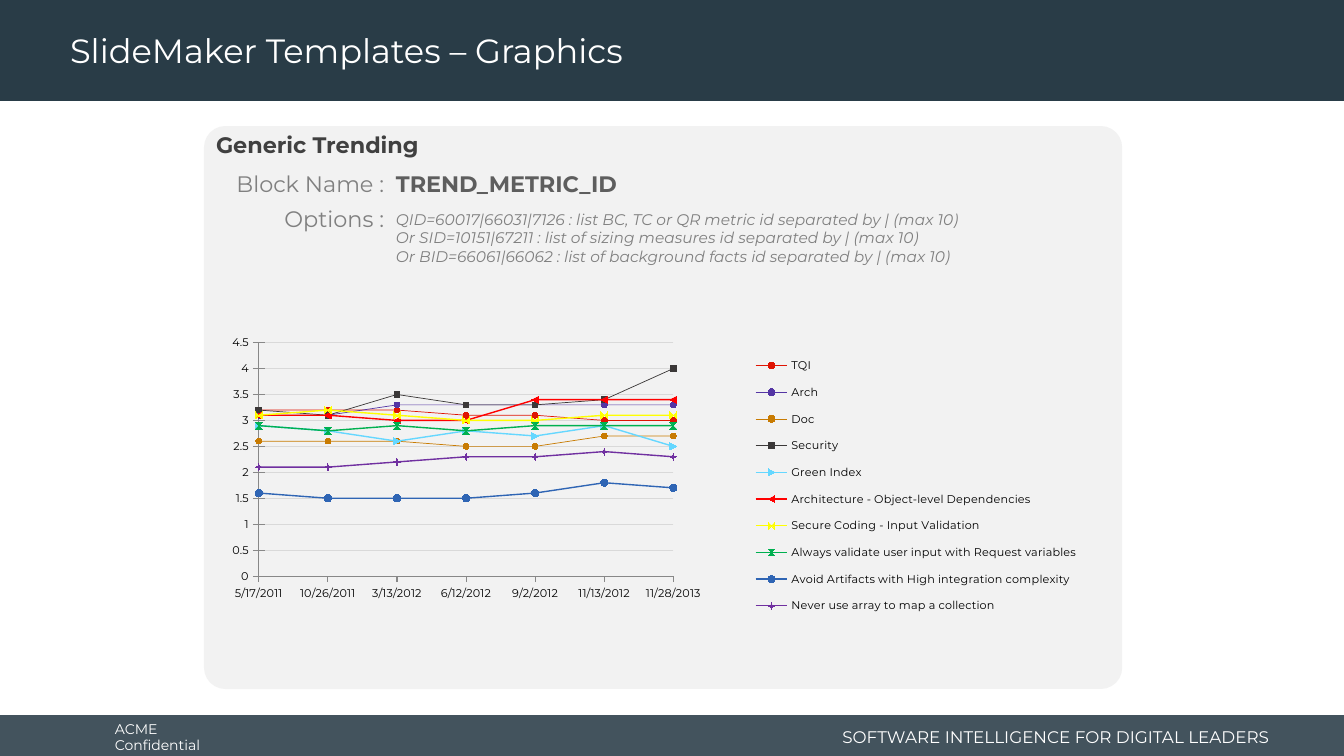
from lxml import etree
from pptx import Presentation, util as u
from pptx.chart.data import CategoryChartData
from pptx.dml.color import RGBColor
from pptx.enum import chart as c, shapes, text
from pptx.oxml import parse_xml
from pptx.oxml.ns import nsdecls, qn

PX = 914400 / 100.8
FONT = "Montserrat"
HUES = {
    "navy": "293C47", "white": "FFFFFF", "panel": "F2F2F2", "head": "404040",
    "name": "5E5E5E", "label": "808080", "axis": "888888", "grid": "D9D9D9",
    "black": "000000", "red": "DF1403", "violet": "5435A4", "ochre": "C87B02",
    "coal": "3B3838", "sky": "65D7FF", "bright": "FF0000", "yellow": "FFFF00",
    "green": "00B050", "blue": "2F65B4", "purple": "7030A0",
    "dark red": "950D02", "dark violet": "38246D", "dark ochre": "855201",
    "dark coal": "181717",
}
LEFT, RIGHT = text.PP_ALIGN.LEFT, text.PP_ALIGN.RIGHT


def rgb(hue):
    return RGBColor.from_string(HUES[hue])


def write(box, lines, size, hue, align=LEFT, bold=False, italic=False):
    """Fill a shape's text frame with lines that share one format."""
    frame = box.text_frame
    frame.text = "\n".join(lines)
    for para in frame.paragraphs:
        para.alignment = align
        font = para.font
        font.name, font.size = FONT, u.Pt(size)
        font.bold, font.italic = bold, italic
        font.color.rgb = rgb(hue)


deck = Presentation()
deck.slide_width, deck.slide_height = u.Inches(13.33), u.Inches(7.5)
slide = deck.slides.add_slide(deck.slide_layouts[5])
parts = slide.shapes
title = parts.title

# Bands and panel
kinds = shapes.MSO_SHAPE
areas = [
    (kinds.RECTANGLE, (0, 715, 1344, 44), "navy"),
    (kinds.RECTANGLE, (0, 0, 1344, 101), "navy"),
    (kinds.ROUNDED_RECTANGLE, (204, 126, 918, 563), "panel"),
]
drawn = []
for kind, area, hue in areas:
    shape = parts.add_shape(kind, *[int(n * PX) for n in area])
    shape.shadow.inherit = False
    shape.fill.solid()
    shape.fill.fore_color.rgb = rgb(hue)
    shape.line.fill.background()
    drawn.append(shape)
foot, band, panel = drawn
panel.adjustments[0] = 0.038
tint = foot._element.spPr.find(".//" + qn("a:srgbClr"))
etree.SubElement(tint, qn("a:alpha")).set("val", "88000")

# Title goes in front of its band
band._element.addnext(title._element)
title.left, title.top, title.width, title.height = [
    int(n * PX) for n in (60, 4, 966, 97)]
write(title, ["SlideMaker Templates – Graphics"], 24, "white")
title.text_frame.vertical_anchor = text.MSO_ANCHOR.MIDDLE
title.text_frame.paragraphs[0].line_spacing = 0.9

# Text boxes: area, lines, size, hue, alignment, bold, italic
notes = [
    ((105, 717, 149, 40), ["ACME Confidential"], 10, "white", LEFT, False, False),
    ((817, 721, 462, 32), ["SOFTWARE INTELLIGENCE FOR DIGITAL LEADERS"],
     12, "white", RIGHT, False, False),
    ((206, 126, 888, 37), ["Generic Trending"], 16, "head", LEFT, True, False),
    ((386, 165, 731, 37), ["TREND_METRIC_ID"], 16, "name", LEFT, True, False),
    ((226, 165, 168, 37), ["Block Name :"], 16, "label", RIGHT, False, False),
    ((386, 205, 731, 67), [
        "QID=60017|66031|7126 : list BC, TC or QR metric id separated by | (max 10)",
        "Or SID=10151|67211 : list of sizing measures id separated by | (max 10)",
        "Or BID=66061|66062 : list of background facts id separated by | (max 10)",
    ], 11, "label", LEFT, False, True),
    ((272, 200, 122, 37), ["Options :"], 16, "label", RIGHT, False, False),
]
for area, lines, size, hue, align, bold, italic in notes:
    box = parts.add_textbox(*[int(n * PX) for n in area])
    box.text_frame.word_wrap = True
    if hue == "white":
        box.text_frame.vertical_anchor = text.MSO_ANCHOR.MIDDLE
    # The heading starts at the panel's edge
    if hue == "head":
        box.text_frame.margin_left = int(10 * PX)
    write(box, lines, size, hue, align, bold, italic)

# Chart: name, values, line hue, marker hue
dates = ["5/17/2011", "10/26/2011", "3/13/2012", "6/12/2012", "9/2/2012",
         "11/13/2012", "11/28/2013"]
trends = [
    ("TQI", (3.2, 3.2, 3.2, 3.1, 3.1, 3, 3), "red", "dark red"),
    ("Arch", (3.1, 3.1, 3.3, 3.3, 3.3, 3.3, 3.3), "violet", "dark violet"),
    ("Doc", (2.6, 2.6, 2.6, 2.5, 2.5, 2.7, 2.7), "ochre", "dark ochre"),
    ("Security", (3.2, 3.1, 3.5, 3.3, 3.3, 3.4, 4), "coal", "dark coal"),
    ("Green Index", (2.9, 2.8, 2.6, 2.8, 2.7, 2.9, 2.5), "sky", None),
    ("Architecture - Object-level Dependencies",
     (3.1, 3.1, 3, 3, 3.4, 3.4, 3.4), "bright", None),
    ("Secure Coding - Input Validation",
     (3.1, 3.2, 3.1, 3, 3, 3.1, 3.1), "yellow", None),
    ("Always validate user input with Request variables",
     (2.9, 2.8, 2.9, 2.8, 2.9, 2.9, 2.9), "green", None),
    ("Avoid Artifacts with High integration complexity",
     (1.6, 1.5, 1.5, 1.5, 1.6, 1.8, 1.7), "blue", None),
    ("Never use array to map a collection",
     (2.1, 2.1, 2.2, 2.3, 2.3, 2.4, 2.3), "purple", None),
]
data = CategoryChartData()
data.categories = dates
for name, vals, *_ in trends:
    data.add_series(name, vals)
chart = parts.add_chart(c.XL_CHART_TYPE.LINE_MARKERS,
                        *[int(n * PX) for n in (204, 293, 913, 388)], data).chart
chart.has_title = False
chart.font.name, chart.font.size = FONT, u.Pt(8)
chart.font.color.rgb = rgb("black")
plot = chart.plots[0]
plot.vary_by_categories = False
for line, (_, _, hue, dot) in zip(plot.series, trends):
    line.smooth = False
    line.format.line.color.rgb = rgb(hue)
    line.format.line.width = u.Pt(0.5 if dot else 1)
    mark = line.marker
    if dot:
        styles = c.XL_MARKER_STYLE
        mark.style = styles.SQUARE if hue == "coal" else styles.CIRCLE
        mark.size = 4
    mark.format.fill.solid()
    mark.format.fill.fore_color.rgb = rgb(hue)
    mark.format.line.color.rgb = rgb(dot or hue)

days, scale = chart.category_axis, chart.value_axis
for axis in (days, scale):
    axis.format.line.color.rgb = rgb("axis")
    axis.format.line.width = u.Pt(0.75)
days.major_tick_mark = c.XL_TICK_MARK.OUTSIDE
scale.major_tick_mark = c.XL_TICK_MARK.CROSS
scale.minimum_scale, scale.maximum_scale, scale.major_unit = 0, 4.5, 0.5
scale.tick_labels.number_format = "General"
scale.tick_labels.number_format_is_linked = False
grid = scale.major_gridlines.format.line
grid.color.rgb, grid.width = rgb("grid"), u.Pt(0.75)
# Lines start on the value axis itself
scale._element.find(qn("c:majorUnit")).addprevious(
    parse_xml(f'<c:crossBetween {nsdecls("c")} val="midCat"/>'))

chart.has_legend = True
legend = chart.legend
legend.position = c.XL_LEGEND_POSITION.RIGHT
legend.include_in_layout = False
area = chart._chartSpace.chart.plotArea
for part in area.findall(qn("c:layout")) + legend._element.findall(qn("c:layout")):
    part.getparent().remove(part)
frames = [
    (area, 0, "inner", (0.06, 0.128, 0.454, 0.602)),
    (legend._element, 1, None, (0.58, 0.137, 0.4, 0.72)),
]
for owner, spot, target, (x, y, w, h) in frames:
    inner = f'<c:layoutTarget val="{target}"/>' if target else ""
    owner.insert(spot, parse_xml(
        f'<c:layout {nsdecls("c")}><c:manualLayout>{inner}'
        '<c:xMode val="edge"/><c:yMode val="edge"/>'
        f'<c:x val="{x}"/><c:y val="{y}"/><c:w val="{w}"/><c:h val="{h}"/>'
        '</c:manualLayout></c:layout>'))

deck.save("out.pptx")
